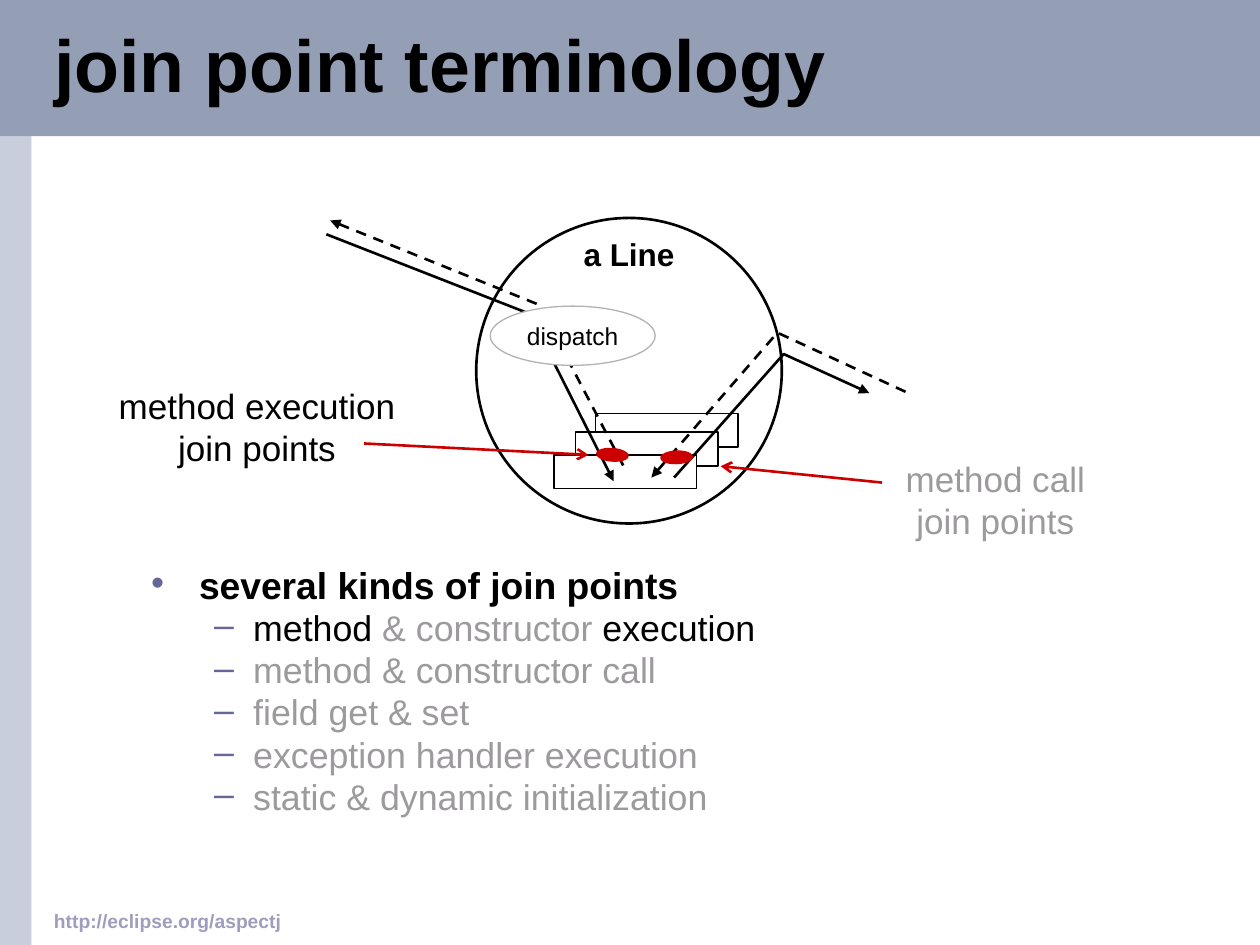
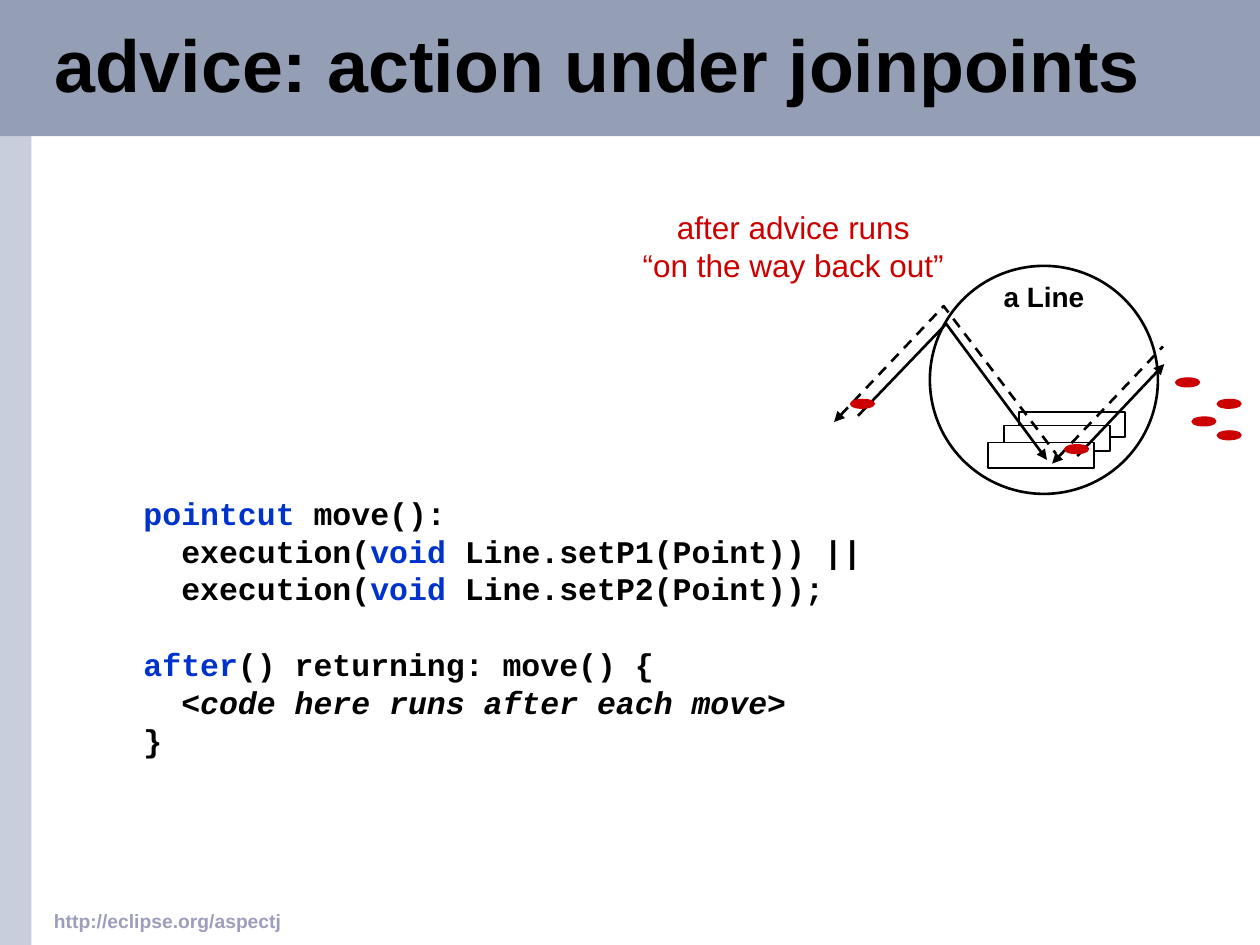
from dataclasses import dataclass

from lxml import etree
from pptx import Presentation
from pptx import util as u
from pptx.dml.color import RGBColor
from pptx.enum import dml, shapes, text
from pptx.oxml.ns import qn

COLUMNS, ROWS = 100, 75
TITLE_AND_BODY, TITLE_ONLY = 1, 5


@dataclass(frozen=True)
class Theme:
    # Colours
    ink: str = "000000"
    paper: str = "FFFFFF"
    muted: str = "9C9A9C"
    accent: str = "CC0000"
    keyword: str = "0033CC"
    bullet: str = "666699"
    footer: str = "9D9DBD"
    outline: str = "B2B2B2"
    top_band: str = "949FB6"
    side_band: str = "C8CEDC"
    # Fonts
    font: str = "Arial"
    code_font: str = "Courier New"
    # Type sizes
    title_size: float = 42
    list_size: float = 21.3
    sublist_size: float = 20.4
    callout_size: float = 20
    label_size: float = 18
    small_label_size: float = 16
    note_size: float = 14
    footer_size: float = 11
    code_pitch: float = 21.6


class Deck:
    """Holds the theme and the current slide; lengths are grid columns and rows."""

    def __init__(self, theme):
        self.theme = theme
        self.presentation = Presentation()
        self.presentation.slide_width = u.Inches(10)
        self.presentation.slide_height = u.Inches(7.5)
        self.slide = None

    # Grid
    def x(self, columns):
        return round(columns * self.presentation.slide_width / COLUMNS)

    def y(self, rows):
        return round(rows * self.presentation.slide_height / ROWS)

    def box(self, left, top, width, height):
        return self.x(left), self.y(top), self.x(width), self.y(height)

    # Slide frame
    def add_slide(self, title, layout):
        first = self.slide is None
        self.slide = self.presentation.slides.add_slide(
            self.presentation.slide_layouts[layout])
        if first:
            self.add_master_bands()
        placeholder = self.slide.shapes.title
        self.place(placeholder, 3.3, 0.3, 94.2, 10.5)
        frame = self.prepare_frame(placeholder, text.MSO_ANCHOR.MIDDLE)
        paragraph = frame.paragraphs[0]
        paragraph.alignment = text.PP_ALIGN.LEFT
        paragraph.line_spacing = 0.85
        self.add_run(paragraph, title, self.theme.title_size, bold=True)

    def add_master_bands(self):
        tree = self.presentation.slide_master.shapes.element
        bands = [((0, 0, 2.5, ROWS), self.theme.side_band),
                 ((0, 0, COLUMNS, 10.8), self.theme.top_band)]
        for index, (area, colour) in enumerate(bands):
            band = self.add_shape(shapes.MSO_SHAPE.RECTANGLE, area, fill=colour)
            band.element.nvSpPr.cNvPr.set("id", str(100 + index))
            tree.insert(2 + index, band.element)

    def add_footer(self, words):
        self.add_text((3.3, 71.7, 72.5, 2.5), words, self.theme.footer_size,
                      self.theme.footer, bold=True, align=text.PP_ALIGN.LEFT)

    # Text
    def place(self, shape, *area):
        shape.left, shape.top, shape.width, shape.height = self.box(*area)

    def prepare_frame(self, shape, anchor=text.MSO_ANCHOR.TOP, wrap=True):
        frame = shape.text_frame
        frame.auto_size = text.MSO_AUTO_SIZE.NONE
        frame.word_wrap = wrap
        frame.vertical_anchor = anchor
        return frame

    def add_run(self, paragraph, words, size, colour=None, bold=False,
                italic=False, font=None):
        run = paragraph.add_run()
        run.text = words
        run.font.name = font or self.theme.font
        run.font.size = u.Pt(size)
        run.font.bold = bold
        run.font.italic = italic
        run.font.color.rgb = RGBColor.from_string(colour or self.theme.ink)

    def add_text(self, area, words, size, colour=None, bold=False,
                 align=text.PP_ALIGN.CENTER, wrap=True):
        shape = self.slide.shapes.add_textbox(*self.box(*area))
        paragraph = self.prepare_frame(shape, wrap=wrap).paragraphs[0]
        paragraph.alignment = align
        for index, line in enumerate(words.split("\n")):
            if index:
                paragraph.add_line_break()
            self.add_run(paragraph, line, size, colour, bold)

    def add_list(self, area, heading, items):
        placeholder = self.slide.placeholders[1]
        self.place(placeholder, *area)
        frame = self.prepare_frame(placeholder)
        paragraph = frame.paragraphs[0]
        self.format_bullet(paragraph, "•", 0.38, 0.38, 0)
        self.add_run(paragraph, heading, self.theme.list_size, bold=True)
        for item in items:
            paragraph = frame.add_paragraph()
            paragraph.level = 1
            self.format_bullet(paragraph, "–", 0.81, 0.31, 8.2)
            for words, colour in item:
                self.add_run(paragraph, words, self.theme.sublist_size, colour)

    def format_bullet(self, paragraph, symbol, margin, hanging, space_before):
        properties = paragraph._p.get_or_add_pPr()
        properties.set("marL", str(u.Inches(margin)))
        properties.set("indent", str(-u.Inches(hanging)))
        colour = etree.SubElement(properties, qn("a:buClr"))
        etree.SubElement(colour, qn("a:srgbClr"), val=self.theme.bullet)
        etree.SubElement(properties, qn("a:buChar"), char=symbol)
        paragraph.alignment = text.PP_ALIGN.LEFT
        paragraph.line_spacing = 0.65
        paragraph.space_before = u.Pt(space_before)

    def add_code(self, area, blocks):
        shape = self.slide.shapes.add_textbox(*self.box(*area))
        frame = self.prepare_frame(shape, wrap=False)
        paragraph = None
        for block in blocks:
            for index, line in enumerate(block):
                starts_block = paragraph is not None and index == 0
                paragraph = frame.add_paragraph() if paragraph else frame.paragraphs[0]
                paragraph.line_spacing = u.Pt(self.theme.code_pitch)
                paragraph.space_before = u.Pt(self.theme.code_pitch if starts_block else 0)
                for words, colour, italic in line:
                    self.add_run(paragraph, words, self.theme.label_size, colour,
                                 True, italic, self.theme.code_font)

    # Shapes
    def add_shape(self, kind, area, fill=None, line=None, weight=1.0):
        shape = self.slide.shapes.add_shape(kind, *self.box(*area))
        shape.shadow.inherit = False
        self.set_fill(shape, fill)
        if line:
            self.set_line(shape, line, weight)
        else:
            shape.line.fill.background()
        return shape

    def set_fill(self, shape, colour):
        if colour:
            shape.fill.solid()
            shape.fill.fore_color.rgb = RGBColor.from_string(colour)
        else:
            shape.fill.background()

    def set_line(self, shape, colour, weight, dashed=False, head=None, tail=None):
        shape.line.color.rgb = RGBColor.from_string(colour)
        shape.line.width = u.Pt(weight)
        if dashed:
            shape.line.dash_style = dml.MSO_LINE.DASH
        line = shape.element.spPr.find(qn("a:ln"))
        for tag, arrowhead in (("a:headEnd", head), ("a:tailEnd", tail)):
            if arrowhead:
                etree.SubElement(line, qn(tag), type=arrowhead)

    def add_bubble(self, area, words):
        shape = self.add_shape(shapes.MSO_SHAPE.OVAL, area, self.theme.paper,
                               self.theme.outline, 0.75)
        frame = self.prepare_frame(shape, text.MSO_ANCHOR.MIDDLE, wrap=False)
        frame.paragraphs[0].alignment = text.PP_ALIGN.CENTER
        self.add_run(frame.paragraphs[0], words, self.theme.note_size)

    def add_join_point(self, centre, length, thickness, rotation):
        area = (centre[0] - thickness / 2, centre[1] - length / 2, thickness, length)
        shape = self.add_shape(shapes.MSO_SHAPE.OVAL, area, self.theme.accent,
                               self.theme.accent, 0.75)
        shape.rotation = rotation

    def add_call(self, *points):
        self.add_route(points, tail="triangle")

    def add_return(self, *points):
        self.add_route(points, dashed=True, head="triangle")

    def add_route(self, points, **line_style):
        corners = [(self.x(column), self.y(row)) for column, row in points]
        builder = self.slide.shapes.build_freeform(*corners[0])
        builder.add_line_segments(corners[1:], close=False)
        shape = builder.convert_to_shape()
        shape.shadow.inherit = False
        self.set_fill(shape, None)
        self.set_line(shape, self.theme.ink, 1.5, **line_style)

    def add_pointer(self, start, end):
        connector = self.slide.shapes.add_connector(
            shapes.MSO_CONNECTOR.STRAIGHT, self.x(start[0]), self.y(start[1]),
            self.x(end[0]), self.y(end[1]))
        self.set_line(connector, self.theme.accent, 1.5, tail="arrow")
        etree.SubElement(connector.element.spPr, qn("a:effectLst"))

    def add_line_object(self, left, top, diameter, label_size):
        """Circle with three stacked methods, all in shares of its diameter."""
        for across, down in ((0.39, 0.64), (0.325, 0.7), (0.255, 0.775)):
            area = (left + across * diameter, top + down * diameter,
                    0.466 * diameter, 0.111 * diameter)
            self.add_shape(shapes.MSO_SHAPE.RECTANGLE, area, self.theme.paper,
                           self.theme.ink)
        self.add_shape(shapes.MSO_SHAPE.OVAL, (left, top, diameter, diameter),
                       line=self.theme.ink, weight=1.5)
        label = (left + diameter / 4, top + 0.035 * diameter, diameter / 2, 4)
        self.add_text(label, "a Line", label_size, bold=True)


def build_terminology_slide(deck):
    theme = deck.theme
    deck.add_slide("join point terminology", TITLE_AND_BODY)
    deck.add_list((11, 45.2, 84.8, 21.5), "several kinds of join points", [
        [("method ", theme.ink), ("& constructor", theme.muted),
         (" execution", theme.ink)],
        [("method & constructor call", theme.muted)],
        [("field get & set", theme.muted)],
        [("exception handler execution", theme.muted)],
        [("static & dynamic initialization", theme.muted)],
    ])

    # Object and the call it receives
    deck.add_line_object(37.8, 17.3, 24.25, theme.label_size)
    deck.add_call((25.9, 18.6), (42, 24.9), (48.7, 38.2))
    deck.add_return((26.2, 17.5), (42.8, 24.2), (49.7, 37.4))
    deck.add_bubble((38.9, 24.3, 13.1, 4.7), "dispatch")

    # Call it makes
    deck.add_return((51.7, 37.9), (61.7, 26.4), (72.1, 31.2))
    deck.add_call((53.5, 37.9), (62.2, 28.1), (69, 31.2))

    # Join points and their callouts
    deck.add_join_point((48.6, 36.1), 2.5, 1, 94.6)
    deck.add_join_point((53.7, 36.3), 2.5, 1, 87.8)
    deck.add_text((8.3, 30, 24.2, 7.7), "method execution join points",
                  theme.callout_size)
    deck.add_text((69.2, 35.8, 19.6, 7.7), "method call join points",
                  theme.callout_size, theme.muted)
    deck.add_pointer((28.9, 35.2), (46.7, 36.1))
    deck.add_pointer((70, 38.3), (57.2, 37))
    deck.add_footer("http://eclipse.org/aspectj")


def build_advice_slide(deck):
    theme = deck.theme
    deck.add_slide("advice: action under joinpoints", TITLE_ONLY)

    # Pointcut and advice code
    def plain(words):
        return words, theme.ink, False

    def keyword(words):
        return words, theme.keyword, False

    deck.add_code((10.4, 38.7, 60.5, 22), [
        [[keyword("pointcut"), plain(" move():")],
         [plain("  execution("), keyword("void "), plain("Line.setP1(Point)) ||")],
         [plain("  execution("), keyword("void "), plain("Line.setP2(Point));")]],
        [[keyword("after"), plain("() returning: move() {")],
         [plain("  "), ("<code here runs after each move>", theme.ink, True)],
         [plain("}")]],
    ])

    # Object, the call it receives and the call it makes
    deck.add_line_object(73.8, 21.1, 18.1, theme.small_label_size)
    deck.add_return((66.2, 33.5), (74.9, 24.3), (83.8, 36))
    deck.add_call((68.1, 33), (75.1, 25.7), (83.1, 36.5))
    deck.add_return((83.5, 36.8), (92.3, 27.5))
    deck.add_call((85.5, 36.2), (92.4, 28.9))
    deck.add_text((50, 16, 25.9, 7), "after advice runs\n“on the way back out”",
                  theme.label_size, theme.accent, wrap=False)

    # Join points
    for centre in ((68.45, 32.05), (85.45, 35.65), (95.55, 33.45),
                   (97.55, 34.55), (94.25, 30.35), (97.55, 32.05)):
        deck.add_join_point(centre, 1.9, 0.7, 89.3)
    deck.add_footer("http://eclipse.org/aspectj")


def main():
    deck = Deck(Theme())
    build_terminology_slide(deck)
    build_advice_slide(deck)
    deck.presentation.save("out.pptx")


if __name__ == "__main__":
    main()
